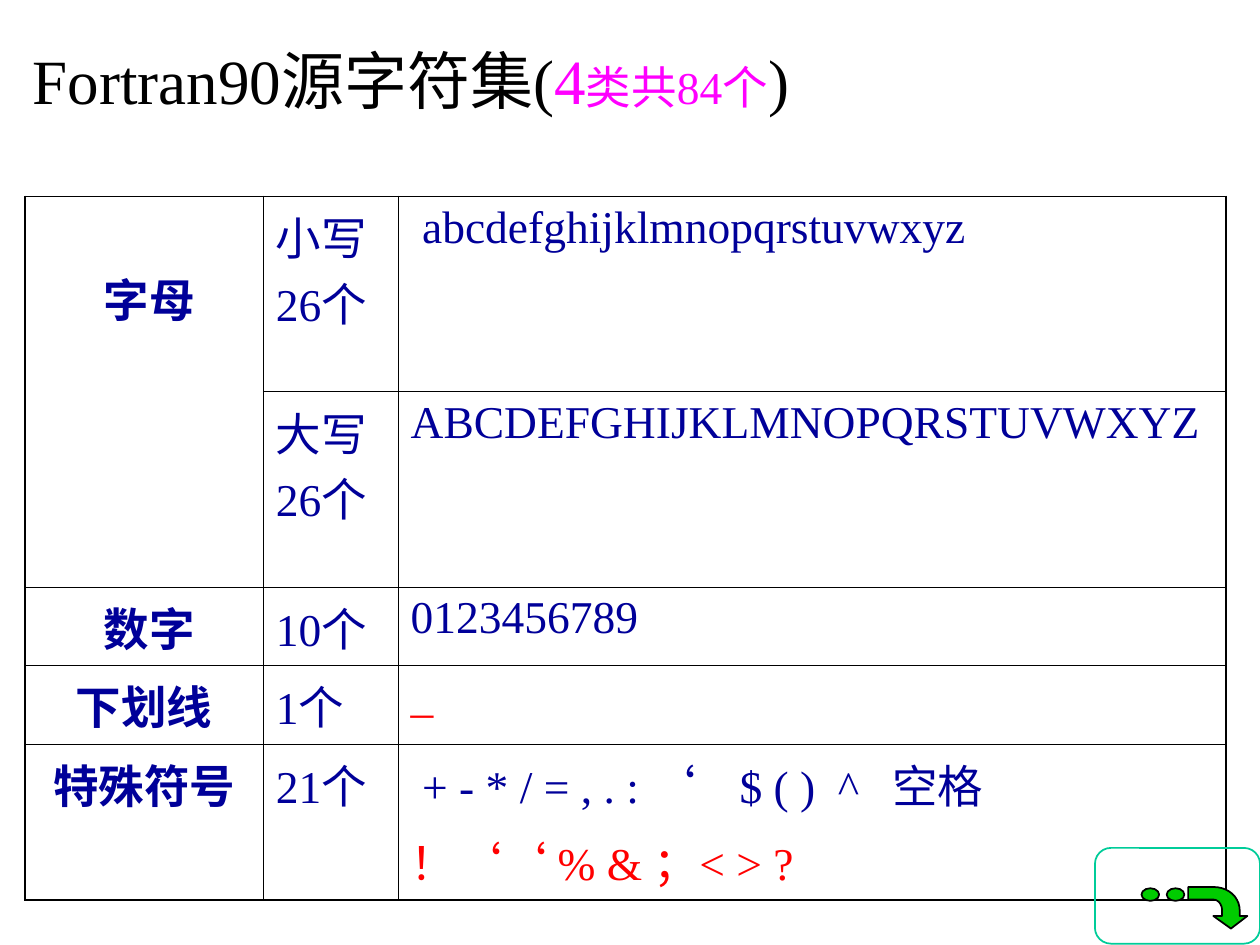
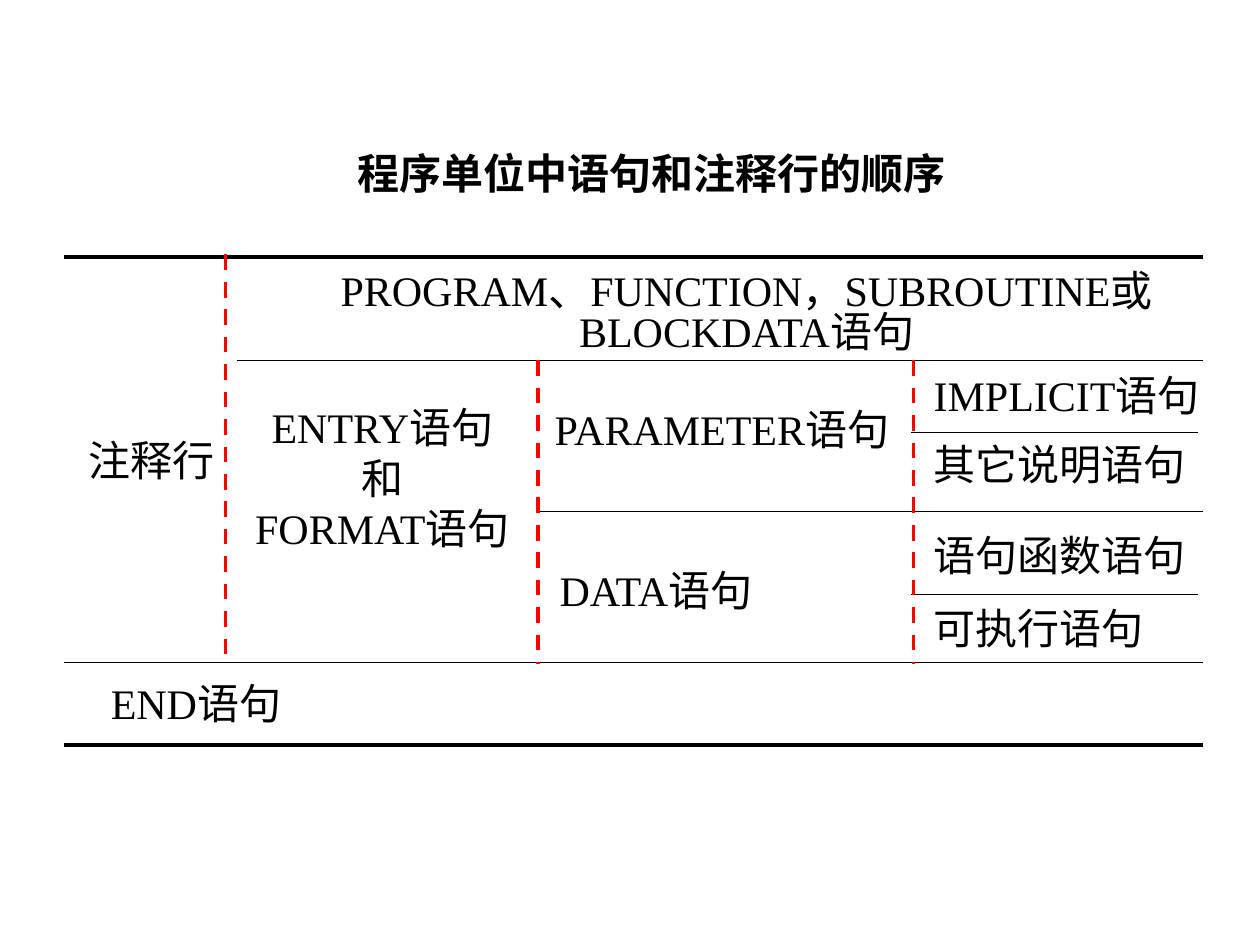
"""Build two slides on the Fortran90 character set and statement order."""
from lxml import etree
from pptx import Presentation
from pptx.dml.color import RGBColor
from pptx.enum.dml import MSO_LINE
from pptx.enum.shapes import MSO_CONNECTOR, MSO_SHAPE
from pptx.enum.text import MSO_ANCHOR, MSO_AUTO_SIZE, PP_ALIGN
from pptx.oxml.ns import qn
from pptx.util import Inches, Pt

BLACK = RGBColor(0, 0, 0)
NAVY = RGBColor(0, 0, 0x99)
RED = RGBColor(0xFF, 0, 0)
MAGENTA = RGBColor(0xFF, 0, 0xFF)
GREEN = RGBColor(0, 0xCC, 0)
TEAL = RGBColor(0, 0xCC, 0x99)
FONT = "Times New Roman"
LEFT, CENTER = PP_ALIGN.LEFT, PP_ALIGN.CENTER
TOP = MSO_ANCHOR.TOP
GROW, FIXED = MSO_AUTO_SIZE.SHAPE_TO_FIT_TEXT, MSO_AUTO_SIZE.NONE
DASH = MSO_LINE.DASH
STRAIGHT = MSO_CONNECTOR.STRAIGHT
OVAL, ROUNDED = MSO_SHAPE.OVAL, MSO_SHAPE.ROUNDED_RECTANGLE

CHARACTER_TITLE = [
    ("Fortran90源字符集(", 36, BLACK),
    ("4", 36, MAGENTA),
    ("类共84个", 26, MAGENTA),
    (")", 36, BLACK),
]
CHARACTER_ROWS = [
    (" 字母", "小写 26个", [(" abcdefghijklmnopqrstuvwxyz", NAVY)]),
    ("", "大写 26个", [("ABCDEFGHIJKLMNOPQRSTUVWXYZ", NAVY)]),
    (" 数字", "10个", [("0123456789", NAVY)]),
    ("下划线", "1个", [("_", RED)]),
    ("特殊符号", "21个", [(" + - * / = , . : ‘\t$ ( )\t^\t空格", NAVY),
                      ("！‘‘ % & ；< > ?", RED)]),
]
COLUMN_WIDTHS = (1.89, 1.07, 6.57)
ROW_HEIGHTS = (1.55, 1.55, 0.62, 0.62, 1.23)
SYMBOL_TABS = (2.61, 3.39, 3.82)
THICK_BORDER, THIN_BORDER = 1.08, 0.45

ARROW_START = (9.77, 7.37)
ARROW_SEGMENTS = [
    [(9.9, 7.27)], [(9.84, 7.27)], [(9.84, 7.23)],
    [(9.84, 7.12), (9.75, 7.04), (9.63, 7.04)],
    [(9.43, 7.04)], [(9.43, 7.14)], [(9.63, 7.14)],
    [(9.67, 7.14), (9.7, 7.18), (9.7, 7.23)],
    [(9.7, 7.27)], [(9.63, 7.27)],
]
CURVE_STEPS = 10

ORDER_TITLE = [("程序单位中语句和注释行的顺序", 24, BLACK)]
STATEMENTS = [
    (0.6, 3.4, 1.2, 0.5, ["注释行"]),
    (0.74, 5.33, 1.63, 0.5, ["END语句"]),
    (1.87, 3.14, 2.33, 1.3, ["ENTRY语句", "和", "FORMAT语句"]),
    (4.25, 3.15, 2.96, 0.5, ["PARAMETER语句"]),
    (4.27, 4.43, 1.87, 0.5, ["DATA语句"]),
    (7.27, 2.88, 2.39, 0.5, ["IMPLICIT语句"]),
    (7.31, 3.43, 2.2, 0.5, ["其它说明语句"]),
    (7.31, 4.15, 2.2, 0.5, ["语句函数语句"]),
    (7.29, 4.73, 1.9, 0.5, ["可执行语句"]),
]
UNIT_HEADER = (2.42, 2.13, 7.01, 0.74,
               ["PROGRAM、FUNCTION，SUBROUTINE或BLOCKDATA语句"])
HORIZONTAL_RULES = [
    (0.51, 9.55, 2.04, 2.25), (0.51, 9.55, 5.26, 0.75),
    (1.88, 9.55, 2.86, 0.75), (0.51, 9.55, 5.91, 2.25),
    (4.28, 9.55, 4.06, 0.75), (7.23, 9.51, 3.43, 0.75),
    (7.23, 9.51, 4.72, 0.75),
]
VERTICAL_DASHES = [(1.79, 2.02, 5.2), (4.27, 2.86, 5.27), (7.25, 2.86, 5.27)]


def add_run(paragraph, text, size, color, bold=False):
    run = paragraph.add_run()
    run.text = text
    run.font.name = FONT
    run.font.size = Pt(size)
    run.font.bold = bold
    run.font.color.rgb = color


def add_paragraphs(frame, lines, size, alignment, bold=False, gap=0):
    for index, (text, color) in enumerate(lines):
        paragraph = frame.add_paragraph() if index else frame.paragraphs[0]
        paragraph.alignment = alignment
        if index and gap:
            paragraph.space_before = Pt(gap)
        if "\t" in text:
            add_tabs(paragraph, SYMBOL_TABS)
        add_run(paragraph, text, size, color, bold)


def add_tabs(paragraph, stops):
    properties = paragraph._p.get_or_add_pPr()
    tabs = etree.SubElement(properties, qn("a:tabLst"))
    for stop in stops:
        etree.SubElement(tabs, qn("a:tab"), pos=str(Inches(stop)), algn="l")


def set_title(slide, runs, box, alignment, bold=False):
    title = slide.shapes.title
    title.left, title.top, title.width, title.height = map(Inches, box)
    frame = title.text_frame
    frame.word_wrap = True
    frame.auto_size = FIXED
    frame.vertical_anchor = TOP
    paragraph = frame.paragraphs[0]
    paragraph.alignment = alignment
    for text, size, color in runs:
        add_run(paragraph, text, size, color, bold)


def set_borders(cell, widths):
    properties = cell._tc.get_or_add_tcPr()
    for side, width in zip("LRTB", widths):
        line = etree.SubElement(properties, qn(f"a:ln{side}"), w=str(Pt(width)))
        fill = etree.SubElement(line, qn("a:solidFill"))
        etree.SubElement(fill, qn("a:srgbClr"), val=str(BLACK))


def add_character_table(slide):
    row_count, column_count = len(ROW_HEIGHTS), len(COLUMN_WIDTHS)
    table = slide.shapes.add_table(
        row_count, column_count, Inches(0.2), Inches(1.56),
        Inches(sum(COLUMN_WIDTHS)), Inches(sum(ROW_HEIGHTS))).table
    table.first_row = table.horz_banding = False
    for column, width in zip(table.columns, COLUMN_WIDTHS):
        column.width = Inches(width)
    for row, height in zip(table.rows, ROW_HEIGHTS):
        row.height = Inches(height)
    table.cell(0, 0).merge(table.cell(1, 0))
    for row_index, (category, count, symbols) in enumerate(CHARACTER_ROWS):
        contents = ([(category, NAVY)], [(count, NAVY)], symbols)
        for column_index, lines in enumerate(contents):
            cell = table.cell(row_index, column_index)
            edges = (column_index == 0, column_index == column_count - 1,
                     row_index == 0, row_index == row_count - 1)
            set_borders(cell, [THICK_BORDER if edge else THIN_BORDER for edge in edges])
            cell.fill.background()
            if cell.is_spanned:
                continue
            is_category = column_index == 0
            add_paragraphs(cell.text_frame, lines, 26,
                           CENTER if is_category else LEFT, is_category, 6.5)
    table.cell(0, 0).margin_top = Inches(0.54)


def curve_points(start, first, second, end):
    for step in range(1, CURVE_STEPS + 1):
        t = step / CURVE_STEPS
        yield tuple((1 - t) ** 3 * a + 3 * (1 - t) ** 2 * t * b
                    + 3 * (1 - t) * t ** 2 * c + t ** 3 * d
                    for a, b, c, d in zip(start, first, second, end))


def style_shape(shape, fill, line):
    shape.shadow.inherit = False
    if fill is None:
        shape.fill.background()
    else:
        shape.fill.solid()
        shape.fill.fore_color.rgb = fill
    shape.line.color.rgb = line
    shape.line.width = Pt(1)


def add_return_button(slide):
    points, current = [], ARROW_START
    for segment in ARROW_SEGMENTS:
        points.extend(curve_points(current, *segment) if len(segment) == 3 else segment)
        current = segment[-1]
    builder = slide.shapes.build_freeform(*map(Inches, ARROW_START))
    builder.add_line_segments([(Inches(x), Inches(y)) for x, y in points])
    style_shape(builder.convert_to_shape(), GREEN, BLACK)
    for left in (9.26, 9.06):
        dot = slide.shapes.add_shape(OVAL, *map(Inches, (left, 7.05, 0.14, 0.1)))
        style_shape(dot, GREEN, BLACK)
    frame = slide.shapes.add_shape(ROUNDED, *map(Inches, (8.69, 6.73, 1.31, 0.76)))
    style_shape(frame, None, TEAL)


def add_statement(slide, left, top, width, height, lines, wrap=False):
    box = slide.shapes.add_textbox(*map(Inches, (left, top, width, height)))
    frame = box.text_frame
    frame.word_wrap = wrap
    frame.auto_size = GROW
    add_paragraphs(frame, [(line, BLACK) for line in lines], 24, CENTER)
    return frame


def add_rule(slide, start, end, color, width, dash=None):
    rule = slide.shapes.add_connector(STRAIGHT, *map(Inches, start + end))
    rule.line.color.rgb = color
    rule.line.width = Pt(width)
    if dash:
        rule.line.dash_style = dash
    etree.SubElement(rule._element.spPr, qn("a:effectLst"))


def build_character_slide(slide):
    set_title(slide, CHARACTER_TITLE, (0.16, 0.28, 9.8, 1.25), LEFT)
    add_character_table(slide)
    add_return_button(slide)


def build_order_slide(slide):
    set_title(slide, ORDER_TITLE, (2.67, 1.12, 5, 0.5), CENTER, bold=True)
    for statement in STATEMENTS:
        add_statement(slide, *statement)
    header = add_statement(slide, *UNIT_HEADER, wrap=True)
    header.paragraphs[0].line_spacing = 0.8
    for left, right, y, width in HORIZONTAL_RULES:
        add_rule(slide, (left, y), (right, y), BLACK, width)
    for x, top, bottom in VERTICAL_DASHES:
        add_rule(slide, (x, top), (x, bottom), RED, 2.25, DASH)


def main():
    presentation = Presentation()
    presentation.slide_width, presentation.slide_height = Inches(10), Inches(7.5)
    title_only = presentation.slide_layouts[5]
    for build in (build_character_slide, build_order_slide):
        build(presentation.slides.add_slide(title_only))
    presentation.save("out.pptx")


if __name__ == "__main__":
    main()
